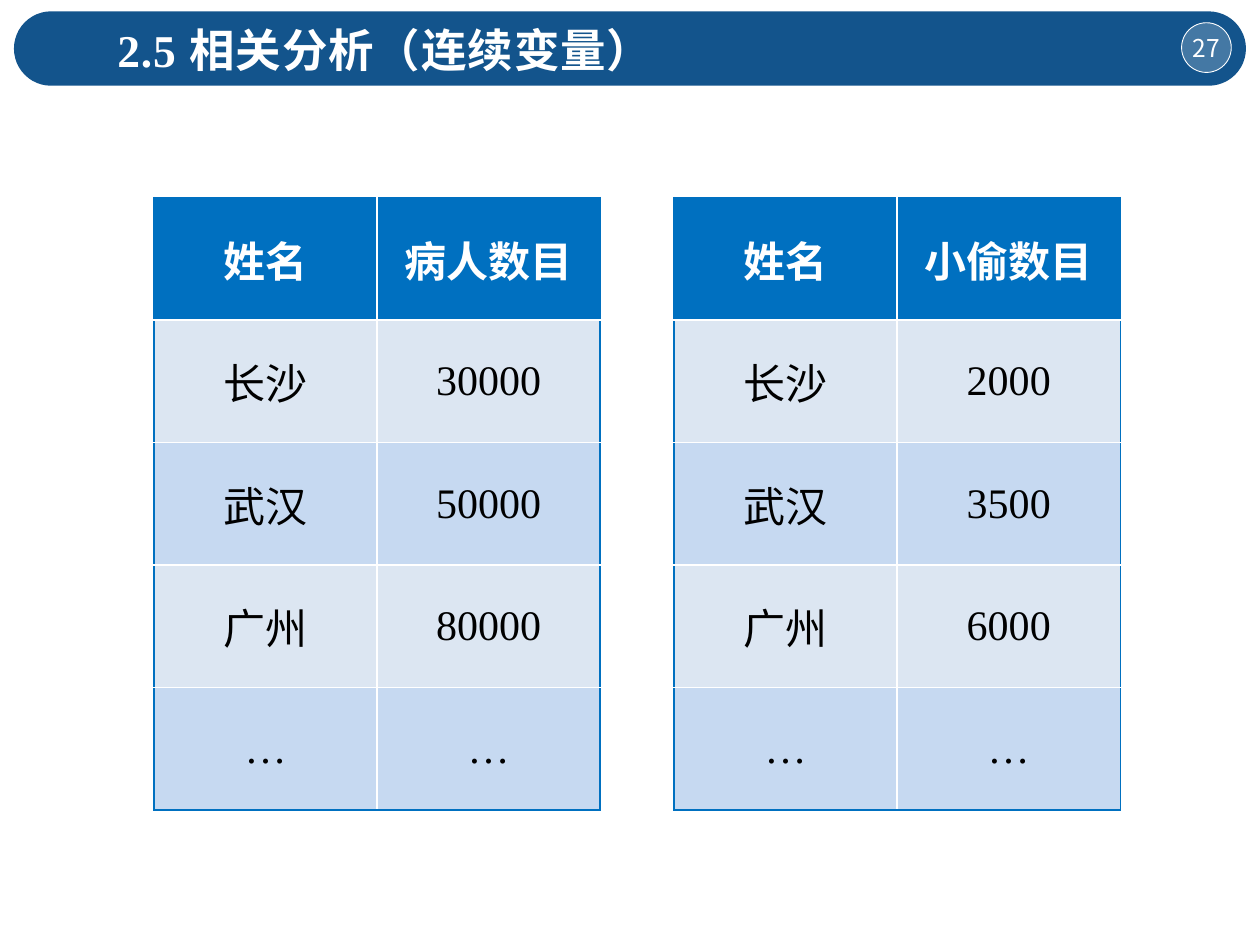
import dataclasses
import lxml.etree
import pptx
import pptx.dml.color
import pptx.enum.shapes
import pptx.enum.text
import pptx.oxml.ns
import pptx.util

Pt = pptx.util.Pt
qn = pptx.oxml.ns.qn
Shape = pptx.enum.shapes.MSO_SHAPE
Align = pptx.enum.text.PP_ALIGN
Anchor = pptx.enum.text.MSO_ANCHOR


@dataclasses.dataclass(frozen=True)
class Theme:
    navy: str = "13548C"
    blue: str = "0070C0"
    pale: str = "DCE6F2"
    mist: str = "C6D9F1"
    white: str = "FFFFFF"
    black: str = "000000"
    serif: str = "Times New Roman"
    sans: str = "Noto Sans CJK SC"
    title: int = 26
    cell: int = 24
    page: int = 14


THEME = Theme()


def tint(code):
    return pptx.dml.color.RGBColor.from_string(code)


def write(frame, text, size, color, face, bold=False, align=Align.LEFT):
    frame.text = text
    frame.vertical_anchor = Anchor.MIDDLE
    para = frame.paragraphs[0]
    para.alignment = align
    run = para.runs[0]
    font = run.font
    font.size = Pt(size)
    font.bold = bold
    font.name = face
    font.color.rgb = tint(color)
    east = lxml.etree.Element(qn("a:ea"), typeface=THEME.sans)
    font._element.find(qn("a:latin")).addnext(east)
    return run


def add_form(slide, kind, box, color):
    form = slide.shapes.add_shape(kind, *map(Pt, box))
    form.shadow.inherit = False
    form.fill.solid()
    form.fill.fore_color.rgb = tint(color)
    return form


def add_page(slide, box, number):
    disc = add_form(slide, Shape.OVAL, box, THEME.white)
    solid = disc.fill._xPr.find(qn("a:solidFill"))
    lxml.etree.SubElement(solid[0], qn("a:alpha"), val="21000")
    disc.line.color.rgb = tint(THEME.white)
    disc.line.width = Pt(0.5)
    frame = disc.text_frame
    frame.margin_left = frame.margin_right = 0
    frame.margin_top = frame.margin_bottom = 0
    frame.word_wrap = False
    write(frame, number, THEME.page, THEME.white, THEME.sans, align=Align.CENTER)


def add_head(slide, box, title, number):
    left, top, width, height = box
    bar = add_form(slide, Shape.ROUNDED_RECTANGLE, box, THEME.navy)
    bar.adjustments[0] = 0.5
    bar.line.fill.background()
    disc = 28.4
    add_page(slide, (left + width - 36.8, top + 6.5, disc, disc), number)
    label = slide.shapes.add_textbox(Pt(left + 52), Pt(top + 2), Pt(582), Pt(39))
    label.text_frame.word_wrap = True
    run = write(label.text_frame, title, THEME.title, THEME.white, THEME.serif, bold=True)
    run.font._element.set("spc", "50")


def edge(cell, sides):
    props = cell._tc.get_or_add_tcPr()
    for side, outer in sides.items():
        line = lxml.etree.SubElement(props, qn("a:ln" + side), w=str(Pt(1)))
        fill = lxml.etree.SubElement(line, qn("a:solidFill"))
        color = THEME.blue if outer else THEME.white
        lxml.etree.SubElement(fill, qn("a:srgbClr"), val=color)


def add_grid(slide, box, rows):
    tall, wide = len(rows), len(rows[0])
    left, top, width, height = box
    table = slide.shapes.add_table(tall, wide, *map(Pt, box)).table
    for col in table.columns:
        col.width = Pt(width / wide)
    for row in table.rows:
        row.height = Pt(height / tall)
    for r, row in enumerate(rows):
        head = r == 0
        shade = THEME.blue if head else (THEME.mist, THEME.pale)[r % 2]
        for c, text in enumerate(row):
            cell = table.cell(r, c)
            edge(cell, {"L": c == 0, "R": c == wide - 1, "T": head, "B": r == tall - 1})
            cell.fill.solid()
            cell.fill.fore_color.rgb = tint(shade)
            cell.vertical_anchor = Anchor.MIDDLE
            color = THEME.white if head else THEME.black
            write(cell.text_frame, text, THEME.cell, color, THEME.serif, head, Align.CENTER)


def main():
    deck = pptx.Presentation()
    deck.slide_width, deck.slide_height = Pt(720), Pt(540)
    slide = deck.slides.add_slide(deck.slide_layouts[6])
    add_head(slide, (8, 6.5, 704, 42.5), "2.5 相关分析（连续变量）", "27")
    towns = ("姓名", "长沙", "武汉", "广州", "…")
    counts = (
        ("病人数目", "30000", "50000", "80000", "…"),
        ("小偷数目", "2000", "3500", "6000", "…"),
    )
    for i, count in enumerate(counts):
        add_grid(slide, (88 + 297.2 * i, 113, 255, 350), list(zip(towns, count)))
    deck.save("out.pptx")


if __name__ == "__main__":
    main()
